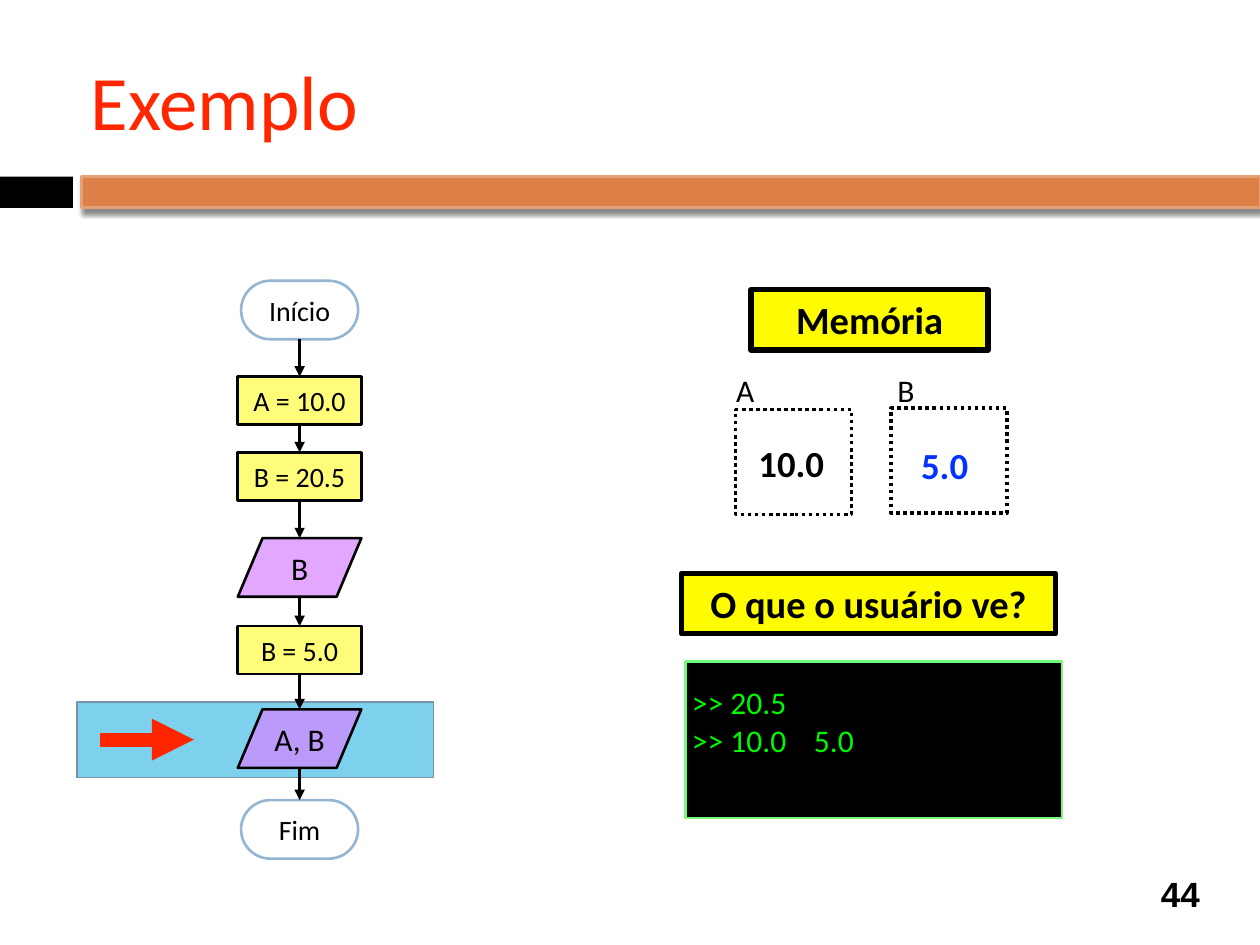
from lxml import etree
from pptx import Presentation
from pptx.dml.color import RGBColor
from pptx.enum.dml import MSO_LINE
from pptx.enum.shapes import MSO_CONNECTOR, MSO_SHAPE
from pptx.enum.text import MSO_ANCHOR, PP_ALIGN
from pptx.oxml.ns import qn
from pptx.util import Cm, Pt

RECT, ROUND = MSO_SHAPE.RECTANGLE, MSO_SHAPE.ROUNDED_RECTANGLE
DATA = MSO_SHAPE.FLOWCHART_DATA
STRAIGHT = MSO_CONNECTOR.STRAIGHT
DOTS = MSO_LINE.ROUND_DOT
TOP, MID = MSO_ANCHOR.TOP, MSO_ANCHOR.MIDDLE
LEFT, MIDDLE = PP_ALIGN.LEFT, PP_ALIGN.CENTER

BLACK = RGBColor(0x00, 0x00, 0x00)
WHITE = RGBColor(0xFF, 0xFF, 0xFF)
RED = RGBColor(0xFF, 0x26, 0x00)
BLUE = RGBColor(0x04, 0x33, 0xFF)
ORANGE = RGBColor(0xDD, 0x80, 0x47)
PEACH = RGBColor(0xE5, 0xA0, 0x75)
YELLOW = RGBColor(0xFF, 0xFB, 0x00)
CREAM = RGBColor(0xFF, 0xFC, 0x79)
VIOLET = RGBColor(0xD7, 0x83, 0xFF)
STEEL = RGBColor(0x94, 0xB6, 0xD2)
SKY = RGBColor(0x7E, 0xD1, 0xEC)
SLATE = RGBColor(0x76, 0x92, 0xA8)
GREEN = RGBColor(0x00, 0xF9, 0x00)
MINT = RGBColor(0x73, 0xFA, 0x79)

INSET = Cm(0.13)
AXIS = 6.04

KINDS = {
    "end": dict(form=ROUND, width=2.36, height=1.18, fill=WHITE, line=STEEL, size=16),
    "step": dict(form=RECT, width=2.49, height=0.97, fill=CREAM, line=BLACK, size=16),
    "data": dict(form=DATA, width=2.49, height=1.18, fill=VIOLET, line=BLACK, size=18),
}
FLOW = [
    ("end", "Início", 5.66),
    ("step", "A = 10.0", 7.59),
    ("step", "B = 20.5", 9.12),
    ("data", "B", 10.85),
    ("step", "B = 5.0", 12.62),
    ("data", "A, B", 14.3),
    ("end", "Fim", 16.13),
]
HEADS = [
    ("Memória", (15.14, 5.84, 4.78, 1.22)),
    ("O que o usuário ve?", (13.74, 11.56, 7.54, 1.22)),
]
CELLS = [(14.83, 8.26, 2.34, 2.11), (17.96, 8.23, 2.34, 2.11)]
NOTES = [
    ("A", (14.71, 7.34, 0.66, 0.91), dict(size=18)),
    ("B", (17.96, 7.34, 0.61, 0.91), dict(size=18)),
    ("10.0", (15.16, 8.76, 1.65, 1.07), dict(size=21, bold=True)),
    ("5.0", (18.44, 8.79, 1.27, 1.07), dict(size=21, bold=True, color=BLUE)),
]
SCREEN = [">> 20.5", ">> 10.0\t5.0"]

deck = Presentation()
deck.slide_width, deck.slide_height = Cm(25.4), Cm(19.05)
slide = deck.slides.add_slide(deck.slide_layouts[6])


def write(shape, lines, size, color=BLACK, bold=False, name="Calibri",
          align=MIDDLE, anchor=MID, wrap=True):
    frame = shape.text_frame
    look = dict(margin_left=INSET, margin_right=INSET, margin_top=INSET,
                margin_bottom=INSET, vertical_anchor=anchor, word_wrap=wrap)
    for key, value in look.items():
        setattr(frame, key, value)
    frame.text = "\n".join(lines)
    for para in frame.paragraphs:
        para.alignment = align
        for run in para.runs:
            for key, value in dict(size=Pt(size), bold=bold, name=name).items():
                setattr(run.font, key, value)
            run.font.color.rgb = color


def draw(box, form=RECT, fill=None, line=None, width=1.5):
    shape = slide.shapes.add_shape(form, *map(Cm, box))
    shape.shadow.inherit = False
    if fill is None:
        shape.fill.background()
    else:
        shape.fill.solid()
        shape.fill.fore_color.rgb = fill
    if line is None:
        shape.line.fill.background()
    else:
        shape.line.color.rgb = line
        shape.line.width = Pt(width)
    return shape


def label(text, box, **look):
    write(slide.shapes.add_textbox(*map(Cm, box)), [text], **look)


def arrow(start, end, color=BLACK, width=1.5):
    link = slide.shapes.add_connector(STRAIGHT, *map(Cm, start + end))
    link.line.color.rgb = color
    link.line.width = Pt(width)
    etree.SubElement(link.line._get_or_add_ln(), qn("a:tailEnd"), type="triangle")
    etree.SubElement(link._element.spPr, qn("a:effectLst"))
    return link


def fade(node, percent):
    etree.SubElement(node, qn("a:alpha"), val=str(percent * 1000))


draw((0, 3.56, 1.47, 0.63), fill=BLACK)
band = draw((1.65, 3.56, 23.75, 0.63), fill=ORANGE, line=PEACH)
shade = etree.SubElement(
    band._element.spPr.find(qn("a:effectLst")), qn("a:outerShdw"),
    blurRad=str(Pt(3)), dist=str(Pt(2.4)), dir="5400000", rotWithShape="0")
fade(etree.SubElement(shade, qn("a:srgbClr"), val=str(BLACK)), 45)

label("44", (23.06, 17.5, 1.47, 1.04), size=20, bold=True, name="Arial")
label("Exemplo", (1.7, 0.64, 22.66, 2.74), size=44, color=RED, align=LEFT)

for text, box in HEADS:
    write(draw(box, fill=YELLOW, line=BLACK, width=3), [text], 22, bold=True, anchor=TOP)
for box in CELLS:
    draw(box, line=BLACK, width=2).line.dash_style = DOTS
for text, box, look in NOTES:
    label(text, box, align=LEFT, anchor=TOP, wrap=False, **look)

screen = draw((13.82, 13.34, 7.59, 3.15), fill=BLACK, line=MINT)
write(screen, SCREEN, 18, color=GREEN, align=LEFT)
screen.text_frame.margin_bottom = Cm(0.9)
tabs = etree.SubElement(screen.text_frame.paragraphs[1]._p.get_or_add_pPr(), qn("a:tabLst"))
etree.SubElement(tabs, qn("a:tab"), pos=str(Cm(2.46)), algn="l")

draw((1.55, 14.15, 7.19, 1.52), fill=SKY, line=SLATE, width=0.79)
arrow((2.01, 14.91), (3.91, 14.91), RED, 8)

nodes = []
for kind, text, top in FLOW:
    look = KINDS[kind]
    wide, high = look["width"], look["height"]
    node = draw((AXIS - wide / 2, top, wide, high), look["form"], look["fill"], look["line"])
    if kind == "end":
        node.adjustments[0] = 0.5
    if kind == "data":
        fade(node._element.spPr.find(qn("a:solidFill"))[0], 70)
    write(node, [text], look["size"])
    nodes.append((node, kind, top, top + high))

for (prev, kind, _, foot), (node, sort, top, _) in zip(nodes, nodes[1:]):
    link = arrow((AXIS, foot), (AXIS, top))
    if kind != "data":
        link.begin_connect(prev, 2)
    if sort != "data":
        link.end_connect(node, 0)

deck.save("out.pptx")
